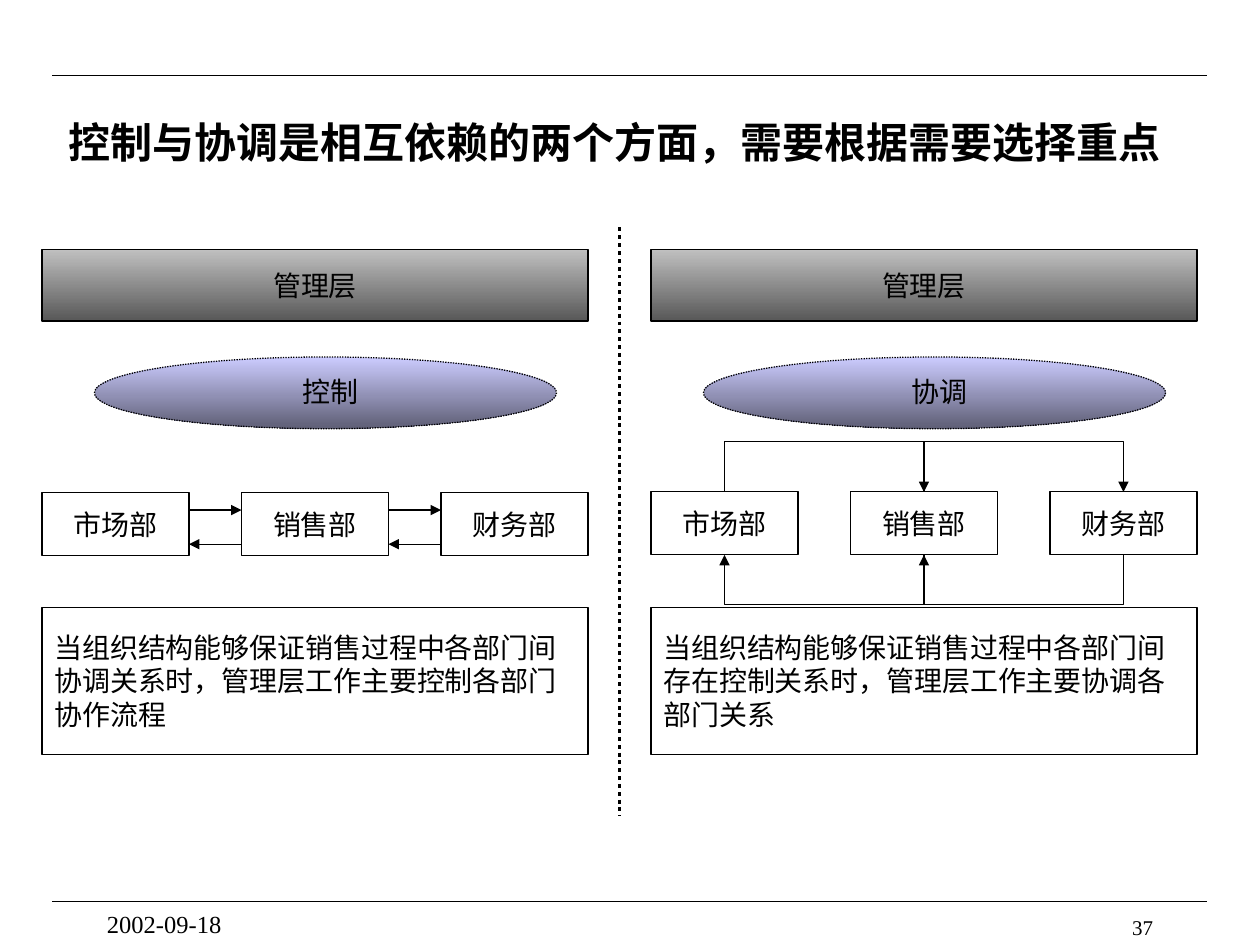
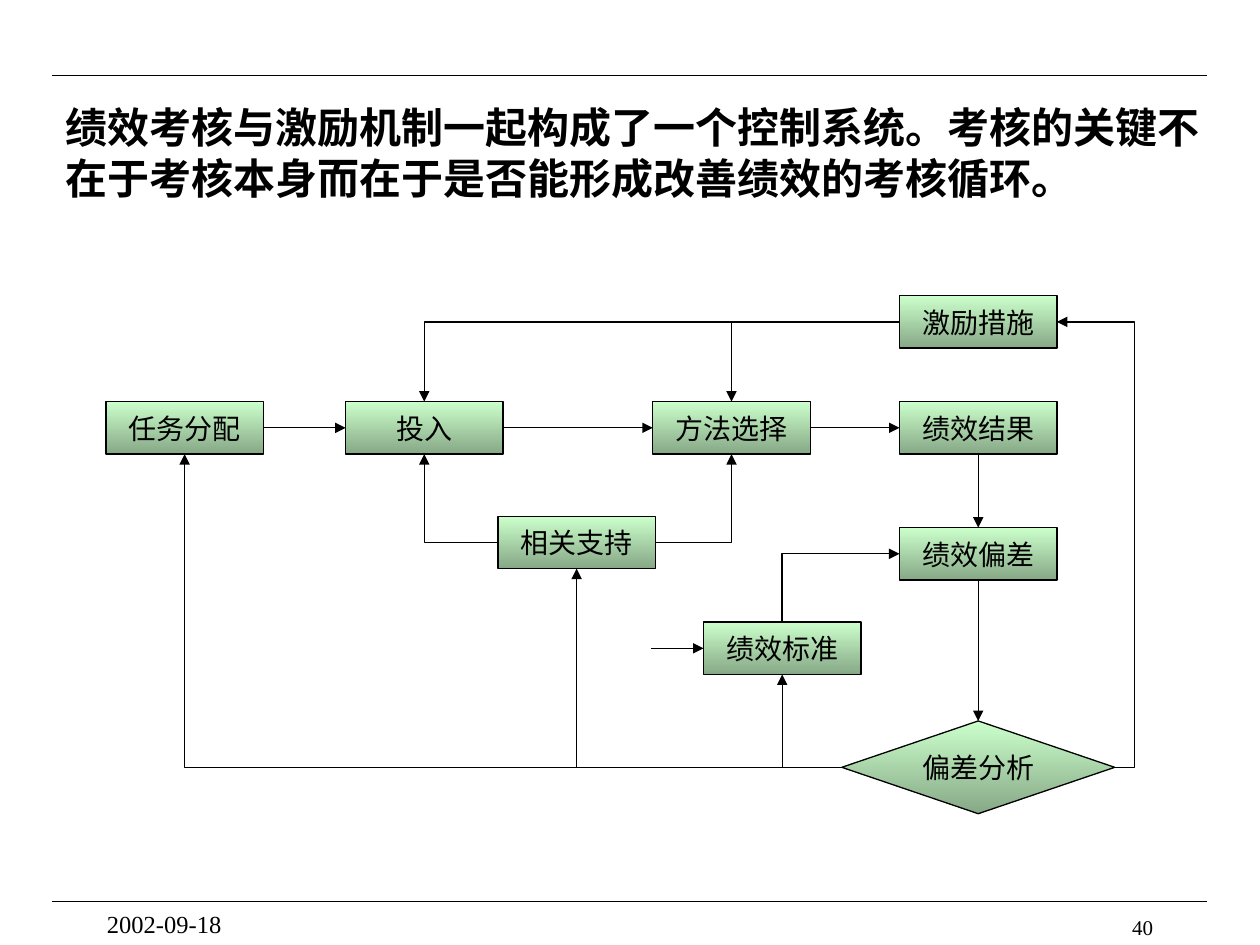
from pptx import Presentation
from pptx.dml.color import RGBColor
from pptx.enum.dml import MSO_LINE_DASH_STYLE as Dash
from pptx.enum.shapes import MSO_CONNECTOR as Link, MSO_SHAPE as Shape
from pptx.enum.text import MSO_ANCHOR as Anchor, MSO_AUTO_SIZE as AutoSize, PP_ALIGN as Align
from pptx.oxml.ns import qn
from pptx.util import Pt
from lxml.etree import SubElement

BLACK = RGBColor(0x00, 0x00, 0x00)
WHITE = RGBColor(0xFF, 0xFF, 0xFF)
GREY = (RGBColor(0xC0, 0xC0, 0xC0), RGBColor(0x58, 0x58, 0x58))
VIOLET = (RGBColor(0xCC, 0xCC, 0xFF), RGBColor(0x5E, 0x5E, 0x75))
GREEN = (RGBColor(0xCC, 0xFF, 0xCC), RGBColor(0x86, 0xA8, 0x86))
FONT = "Times New Roman"
TOP, LEFT, BOTTOM, RIGHT = range(4)

DATE = "2002-09-18"
RULE_LEFT, RULE_RIGHT, RULE_TOPS = 30, 690, (43, 515)

BALANCE_TITLE = "控制与协调是相互依赖的两个方面，需要根据需要选择重点"
MANAGEMENT = "管理层"
DEPARTMENTS = ["市场部", "销售部", "财务部"]
# Column left, department top, role, note
COLUMNS = [
    (24, 281.5, "控制", "当组织结构能够保证销售过程中各部门间协调关系时，管理层工作主要控制各部门协作流程"),
    (372, 281, "协调", "当组织结构能够保证销售过程中各部门间存在控制关系时，管理层工作主要协调各部门关系"),
]
COLUMN_WIDTH, BAND_HEIGHT = 312, 41
DEPARTMENT_WIDTH, DEPARTMENT_HEIGHT = 84, 36
DEPARTMENT_STEP = (COLUMN_WIDTH - DEPARTMENT_WIDTH) / 2
LOOP_DEPTH, LOOP_SPAN = 28.8, 0.2

CYCLE_TITLE = ("绩效考核与激励机制一起构成了一个控制系统。"
               "考核的关键不在于考核本身而在于是否能形成改善绩效的考核循环。")
STEP_WIDTH, STEP_HEIGHT = 90, 30
STEPS = {
    "任务分配": (60.5, 229.5),
    "投入": (197.5, 229.5),
    "方法选择": (373, 229.5),
    "绩效结果": (514, 229.5),
    "相关支持": (284.5, 295),
    "绩效偏差": (514, 301.5),
    "绩效标准": (402, 355.5),
    "激励措施": (514, 169),
}
ANALYSIS = "偏差分析"
ANALYSIS_AT = (481, 412, 156, 53)
FEEDBACK_X = 648.5
STRAIGHT_FLOWS = [
    ("任务分配", RIGHT, "投入", LEFT),
    ("投入", RIGHT, "方法选择", LEFT),
    ("方法选择", RIGHT, "绩效结果", LEFT),
    ("绩效结果", BOTTOM, "绩效偏差", TOP),
    ("绩效偏差", BOTTOM, ANALYSIS, TOP),
]
# Each corner runs sideways first, then up or down; the last item is the arrow end
CORNER_FLOWS = [
    (ANALYSIS, LEFT, "任务分配", BOTTOM, "tail"),
    (ANALYSIS, LEFT, "相关支持", BOTTOM, "tail"),
    (ANALYSIS, LEFT, "绩效标准", BOTTOM, "tail"),
    ("激励措施", LEFT, "方法选择", TOP, "tail"),
    ("激励措施", LEFT, "投入", TOP, "tail"),
    ("相关支持", LEFT, "投入", BOTTOM, "tail"),
    ("相关支持", RIGHT, "方法选择", BOTTOM, "tail"),
    ("绩效偏差", LEFT, "绩效标准", TOP, "head"),
]


def write(frame, text, size=16, align=Align.LEFT, anchor=Anchor.MIDDLE, bold=False, wrap=True):
    frame.text = text
    frame.word_wrap = wrap
    frame.auto_size = AutoSize.NONE
    frame.vertical_anchor = anchor
    para = frame.paragraphs[0]
    para.alignment = align
    font = para.runs[0].font
    font.name, font.size, font.bold = FONT, Pt(size), bold
    font.color.rgb = BLACK


def add_label(slide, text, left, top, width, height, **style):
    box = slide.shapes.add_textbox(Pt(left), Pt(top), Pt(width), Pt(height))
    write(box.text_frame, text, **style)


def add_box(slide, left, top, width, height, fill, text="", kind=Shape.RECTANGLE,
            align=Align.CENTER):
    """Fill is one colour, or a pair that fades from top to bottom."""
    box = slide.shapes.add_shape(kind, Pt(left), Pt(top), Pt(width), Pt(height))
    box.shadow.inherit = False
    if isinstance(fill, RGBColor):
        box.fill.solid()
        box.fill.fore_color.rgb = fill
    else:
        box.fill.gradient()
        box.fill.gradient_angle = 270
        for stop, colour, position in zip(box.fill.gradient_stops, fill, (0, 1)):
            stop.color.rgb, stop.position = colour, position
    box.line.color.rgb = BLACK
    box.line.width = Pt(0.75)
    if text:
        write(box.text_frame, text, align=align, wrap=align == Align.LEFT)
    return box


def add_line(slide, x1, y1, x2, y2, arrow=None, width=0.75, dash=None, kind=Link.STRAIGHT):
    """Arrow is None, "head" (at the start) or "tail" (at the finish)."""
    line = slide.shapes.add_connector(kind, Pt(x1), Pt(y1), Pt(x2), Pt(y2))
    line.line.color.rgb = BLACK
    line.line.width = Pt(width)
    if dash:
        line.line.dash_style = dash
    properties = line._element.spPr
    if arrow:
        SubElement(properties.find(qn("a:ln")), qn(f"a:{arrow}End"), type="triangle")
    SubElement(properties, qn("a:effectLst"))
    return line


def join(slide, start, start_side, finish, finish_side, arrow="tail", kind=Link.STRAIGHT):
    line = add_line(slide, 0, 0, 0, 0, arrow, kind=kind)
    line.begin_connect(start, start_side)
    line.end_connect(finish, finish_side)
    return line


def set_bend(line, ratio):
    """Place the middle leg of an elbow, as a share of its width."""
    adjustments = line._element.spPr.find(qn("a:prstGeom")).find(qn("a:avLst"))
    SubElement(adjustments, qn("a:gd"), name="adj1", fmla=f"val {round(ratio * 100000)}")


def add_loop(slide, start, finish, side):
    """Draw a U-shaped arrow between the same sides of two boxes in a row."""
    line = join(slide, start, side, finish, side, kind=Link.ELBOW)
    span = abs(finish.left - start.left)
    middle = (start.left + finish.left + start.width) // 2
    edge = start.top if side == TOP else start.top + start.height
    line.left, line.top = middle - Pt(LOOP_SPAN) // 2, edge - span // 2
    line.width, line.height = Pt(LOOP_SPAN), span
    frame = line._element.spPr.find(qn("a:xfrm"))
    for flip in ("flipH", "flipV"):
        frame.attrib.pop(flip, None)
    frame.set("rot", "16200000" if side == TOP else "5400000")
    if side == TOP:
        frame.set("flipH", "1")
    set_bend(line, (-1 if side == TOP else 1) * LOOP_DEPTH / LOOP_SPAN)


def add_page(deck, title, title_at, number):
    slide = deck.slides.add_slide(deck.slide_layouts[5])
    holder = slide.shapes.title
    holder.left, holder.top, holder.width, holder.height = map(Pt, title_at)
    write(holder.text_frame, title, size=24, bold=True)
    for top in RULE_TOPS:
        add_line(slide, RULE_LEFT, top, RULE_RIGHT, top)
    add_label(slide, number, 516, 519, 150, 12, size=12, align=Align.RIGHT, anchor=Anchor.TOP)
    add_label(slide, DATE, 54, 516, 150, 18, size=14, anchor=Anchor.TOP)
    return slide


def build_balance(deck):
    slide = add_page(deck, BALANCE_TITLE, (32, 54, 672, 54), "37")
    add_line(slide, 354, 130, 354, 466.5, width=2.25, dash=Dash.ROUND_DOT)
    rows = []
    for left, department_top, role, note in COLUMNS:
        add_box(slide, left, 142.5, COLUMN_WIDTH, BAND_HEIGHT, GREY, MANAGEMENT)
        oval = add_box(slide, left + 30, 204, 264, BAND_HEIGHT, VIOLET, kind=Shape.OVAL)
        oval.line.dash_style = Dash.ROUND_DOT
        add_label(slide, role, left + 142, 210, 46, 27, align=Align.CENTER, wrap=False)
        rows.append([
            add_box(slide, left + i * DEPARTMENT_STEP, department_top,
                    DEPARTMENT_WIDTH, DEPARTMENT_HEIGHT, WHITE, name)
            for i, name in enumerate(DEPARTMENTS)
        ])
        add_box(slide, left, 347, COLUMN_WIDTH, 84, WHITE, note, align=Align.LEFT)

    for i in range(len(DEPARTMENTS) - 1):
        gap_left = COLUMNS[0][0] + DEPARTMENT_WIDTH + i * DEPARTMENT_STEP
        gap_right = COLUMNS[0][0] + (i + 1) * DEPARTMENT_STEP
        add_line(slide, gap_left, 291.5, gap_right, 291.5, "tail")
        add_line(slide, gap_right, 311, gap_left, 311, "tail")
    for before, after in zip(rows[1], rows[1][1:]):
        add_loop(slide, before, after, TOP)
        add_loop(slide, after, before, BOTTOM)


def build_cycle(deck):
    slide = add_page(deck, CYCLE_TITLE, (30, 54, 672, 66), "40")
    boxes = {name: add_box(slide, left, top, STEP_WIDTH, STEP_HEIGHT, GREEN, name)
             for name, (left, top) in STEPS.items()}
    boxes[ANALYSIS] = add_box(slide, *ANALYSIS_AT, GREEN, ANALYSIS,
                              kind=Shape.FLOWCHART_DECISION)
    for start, start_side, finish, finish_side in STRAIGHT_FLOWS:
        join(slide, boxes[start], start_side, boxes[finish], finish_side)
    for start, start_side, finish, finish_side, arrow in CORNER_FLOWS:
        corner = join(slide, boxes[start], start_side, boxes[finish], finish_side,
                      arrow, Link.ELBOW)
        corner._element.spPr.find(qn("a:prstGeom")).set("prst", "bentConnector2")

    feedback = join(slide, boxes[ANALYSIS], RIGHT, boxes["激励措施"], RIGHT, kind=Link.ELBOW)
    set_bend(feedback, (Pt(FEEDBACK_X) - feedback.begin_x) / (feedback.end_x - feedback.begin_x))

    left, top = STEPS["绩效标准"]
    middle = top + STEP_HEIGHT / 2
    entry = add_line(slide, left - 30, middle, left, middle, "tail")
    entry.end_connect(boxes["绩效标准"], LEFT)


def main():
    deck = Presentation()
    deck.slide_width, deck.slide_height = Pt(720), Pt(540)
    build_balance(deck)
    build_cycle(deck)
    deck.save("out.pptx")


if __name__ == "__main__":
    main()
